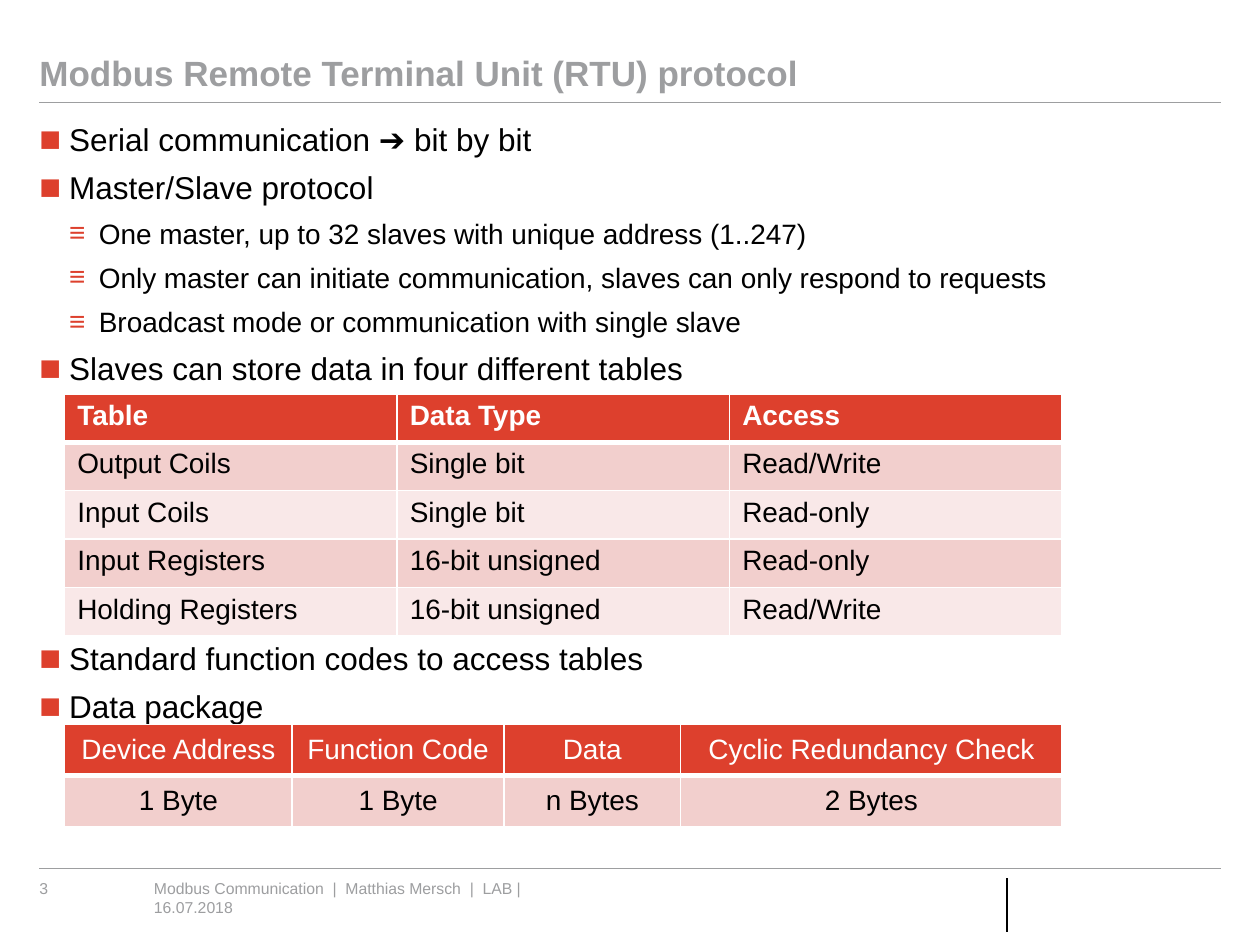
import dataclasses

import lxml.etree
import pptx
import pptx.dml.color
import pptx.enum.shapes
import pptx.enum.text
import pptx.oxml.ns
import pptx.util

Pt = pptx.util.Pt
ALIGN = pptx.enum.text.PP_ALIGN
ANCHOR = pptx.enum.text.MSO_ANCHOR


@dataclasses.dataclass(frozen=True)
class Theme:
    font: str = "Arial"
    accent: str = "DD402D"
    band_dark: str = "F2CFCD"
    band_light: str = "F9E8E8"
    grey: str = "9D9EA0"
    black: str = "000000"
    white: str = "FFFFFF"
    title: int = 20
    level_sizes: tuple = (18, 16)
    cell: int = 16
    footer: int = 9


def rgb(value):
    return pptx.dml.color.RGBColor.from_string(value)


def child(parent, tag, **attrs):
    element = lxml.etree.SubElement(parent, pptx.oxml.ns.qn(tag))
    for name, value in attrs.items():
        element.set(name, str(value))
    return element


class Deck:
    bullets = (("■", 115), ("≡", 100))
    indent = 17

    def __init__(self, theme):
        self.theme = theme
        self.prs = pptx.Presentation()
        self.prs.slide_width, self.prs.slide_height = Pt(720), Pt(540)
        self.s = None

    def add_slide(self):
        self.s = self.prs.slides.add_slide(self.prs.slide_layouts[1])

    def style(self, p, size, color, bold=False):
        for r in p.runs:
            r.font.name = self.theme.font
            r.font.size = Pt(size)
            r.font.bold = bold
            r.font.color.rgb = rgb(color)

    def frame(self, sp, box, anchor=ANCHOR.TOP):
        sp.left, sp.top, sp.width, sp.height = map(Pt, box)
        tf = sp.text_frame
        tf.margin_left = tf.margin_top = tf.margin_right = tf.margin_bottom = 0
        tf.word_wrap = True
        tf.auto_size = pptx.enum.text.MSO_AUTO_SIZE.NONE
        tf.vertical_anchor = anchor
        return tf

    def title(self, text, box):
        tf = self.frame(self.s.shapes.title, box, ANCHOR.BOTTOM)
        tf.text = text
        p = tf.paragraphs[0]
        p.alignment = ALIGN.LEFT
        p.line_spacing = 0.9
        self.style(p, self.theme.title, self.theme.grey, True)

    def body(self, items, box):
        tf = self.frame(self.s.placeholders[1], box)
        for i, (level, text, gap) in enumerate(items):
            p = tf.add_paragraph() if i else tf.paragraphs[0]
            p.text = text
            p.level = level
            p.space_before, p.space_after = Pt(gap), Pt(0)
            self.style(p, self.theme.level_sizes[level], self.theme.black)
            self.bullet(p, level)

    def bullet(self, p, level):
        char, percent = self.bullets[level]
        pPr = p._p.get_or_add_pPr()
        pPr.set("marL", str(Pt(self.indent * (level + 1))))
        pPr.set("indent", str(-Pt(self.indent)))
        child(child(pPr, "a:buClr"), "a:srgbClr", val=self.theme.accent)
        child(pPr, "a:buSzPct", val=percent * 1000)
        child(pPr, "a:buFont", typeface=self.theme.font)
        child(pPr, "a:buChar", char=char)

    def note(self, text, box):
        tf = self.frame(self.s.shapes.add_textbox(0, 0, 0, 0), box)
        tf.text = text
        self.style(tf.paragraphs[0], self.theme.footer, self.theme.grey)

    def line(self, x1, y1, x2, y2, color, width):
        kind = pptx.enum.shapes.MSO_CONNECTOR.STRAIGHT
        sp = self.s.shapes.add_connector(kind, Pt(x1), Pt(y1), Pt(x2), Pt(y2))
        sp.line.color.rgb = rgb(color)
        sp.line.width = Pt(width)
        child(sp._element.spPr, "a:effectLst")

    def borders(self, cell, top, bottom):
        tcPr = cell._tc.get_or_add_tcPr()
        for side, width in zip("LRTB", (1, 1, top, bottom)):
            ln = child(tcPr, f"a:ln{side}", w=Pt(width))
            child(child(ln, "a:solidFill"), "a:srgbClr", val=self.theme.white)

    def table(self, rows, left, top, widths, row_height, header_bold=True,
              align=ALIGN.LEFT, anchor=ANCHOR.TOP):
        t = self.theme
        table = self.s.shapes.add_table(
            len(rows), len(widths), Pt(left), Pt(top),
            Pt(sum(widths)), Pt(row_height * len(rows))).table
        for column, width in zip(table.columns, widths):
            column.width = Pt(width)
        for i, values in enumerate(rows):
            table.rows[i].height = Pt(row_height)
            band = t.band_dark if i % 2 else t.band_light
            for j, text in enumerate(values):
                cell = table.cell(i, j)
                cell.text_frame.text = text
                cell.vertical_anchor = anchor
                self.borders(cell, 3 if i == 1 else 1, 1 if i else 3)
                cell.fill.solid()
                cell.fill.fore_color.rgb = rgb(band if i else t.accent)
                p = cell.text_frame.paragraphs[0]
                p.alignment = align
                self.style(p, t.cell, t.black if i else t.white,
                           header_bold and i == 0)


def main():
    theme = Theme()
    left, right, width = 22.5, 697.5, 675
    gap, table_gap = 6, 144.3
    deck = Deck(theme)
    deck.add_slide()

    for y in (58.5, 496):
        deck.line(left, y, right, y, theme.grey, 0.5)
    deck.line(575.5, 502, 575.5, 532.5, theme.black, 1)
    deck.note("3", (left, 502, 52, 11))
    deck.note("Modbus Communication  |  Matthias Mersch  |  LAB |  16.07.2018",
              (88, 502, 212.5, 34))

    deck.title("Modbus Remote Terminal Unit (RTU) protocol",
               (left, 11.5, width, 42.5))
    deck.body([
        (0, "Serial communication ➔ bit by bit", gap),
        (0, "Master/Slave protocol", gap),
        (1, "One master, up to 32 slaves with unique address (1..247)", gap),
        (1, "Only master can initiate communication, slaves can only respond to requests", gap),
        (1, "Broadcast mode or communication with single slave", gap),
        (0, "Slaves can store data in four different tables", gap),
        (0, "Standard function codes to access tables", table_gap),
        (0, "Data package", gap),
    ], (left, 68.5, width, 417))

    deck.table([
        ("Table", "Data Type", "Access"),
        ("Output Coils", "Single bit", "Read/Write"),
        ("Input Coils", "Single bit", "Read-only"),
        ("Input Registers", "16-bit unsigned", "Read-only"),
        ("Holding Registers", "16-bit unsigned", "Read/Write"),
    ], 37, 225, [190] * 3, 27.7)
    deck.table([
        ("Device Address", "Function Code", "Data", "Cyclic Redundancy Check"),
        ("1 Byte", "1 Byte", "n Bytes", "2 Bytes"),
    ], 37, 414, [130, 121, 101, 218], 29.2, header_bold=False,
        align=ALIGN.CENTER, anchor=ANCHOR.MIDDLE)

    deck.prs.save("out.pptx")


if __name__ == "__main__":
    main()
